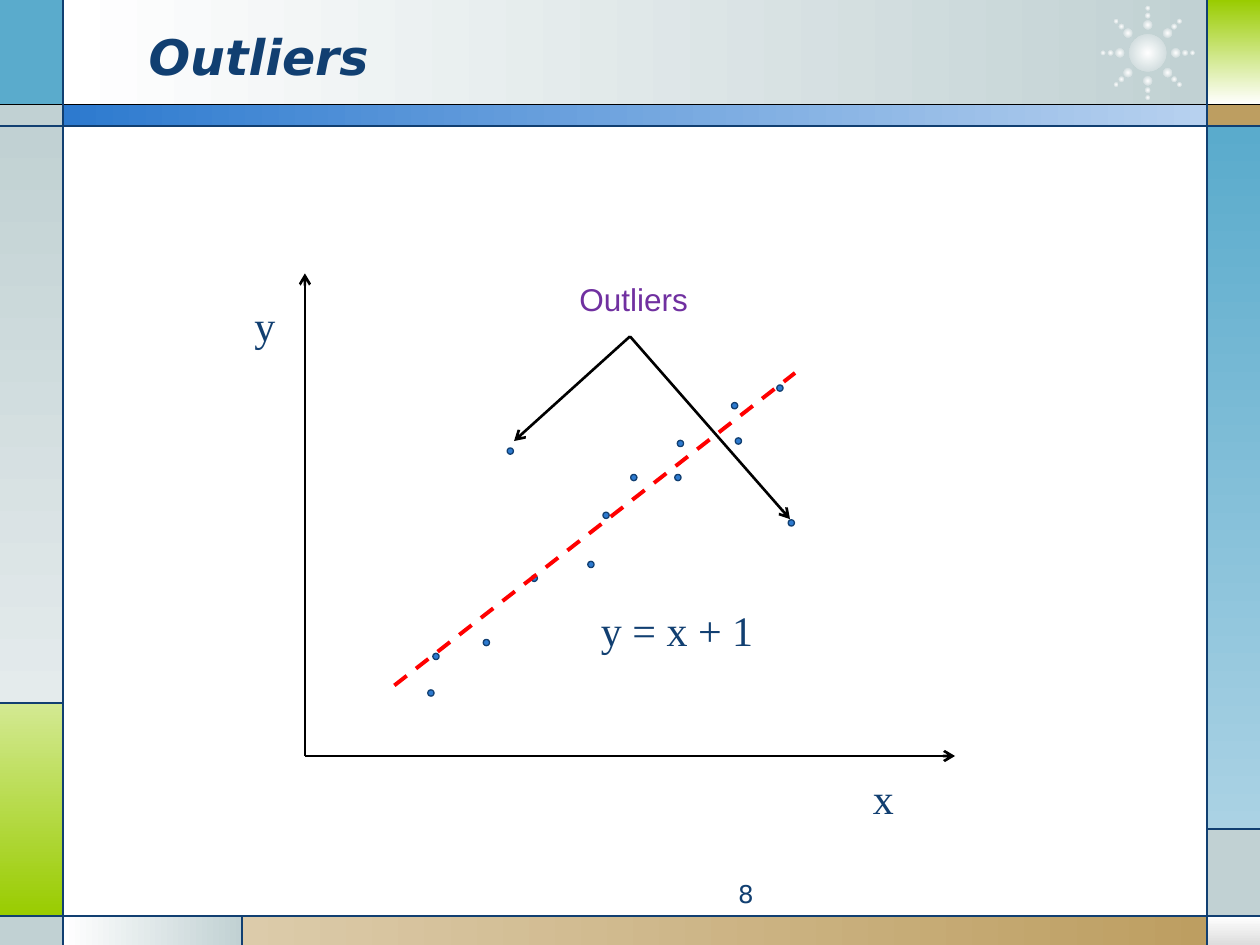
from math import cos, pi, sin

from lxml.etree import SubElement
from pptx import Presentation
from pptx.dml.color import RGBColor
from pptx.enum.dml import MSO_LINE
from pptx.enum.shapes import MSO_CONNECTOR as CONN, MSO_SHAPE as SHAPE
from pptx.enum.text import MSO_ANCHOR as ANCHOR, PP_ALIGN as ALIGN
from pptx.oxml.ns import qn
from pptx.util import Inches, Pt

NAVY, BLUE, SKY, MIST = "113F71", "2D7ACF", "5AABCC", "C1D1D3"
LIME, TAN, WHITE, BLACK = "99CC00", "BD9E61", "FFFFFF", "000000"
RIGHT, DOWN = 0, 270  # gradient directions
SANS, SERIF = "DejaVu Sans", "Times New Roman"


def rgb(value):
    return RGBColor.from_string(value)


def add_box(s, kind, box, fill, angle=RIGHT, outline=None):
    """Add a shape; a pair of colours makes a gradient, angle None a radial one."""
    sp = s.shapes.add_shape(kind, *map(Inches, box))
    sp.shadow.inherit = False
    if isinstance(fill, str):
        sp.fill.solid()
        sp.fill.fore_color.rgb = rgb(fill)
    else:
        sp.fill.gradient()
        for stop, position, colour in zip(sp.fill.gradient_stops, (0, 1), fill):
            stop.position, stop.color.rgb = position, rgb(colour)
        if angle is None:
            grad = sp._element.spPr.find(qn("a:gradFill"))
            grad.remove(grad.find(qn("a:lin")))
            radial = SubElement(grad, qn("a:path"), {"path": "circle"})
            SubElement(radial, qn("a:fillToRect"), dict.fromkeys("ltrb", "50000"))
        else:
            sp.fill.gradient_angle = angle
    if outline:
        sp.line.color.rgb, sp.line.width = rgb(outline), Pt(0.75)
    else:
        sp.line.fill.background()
    return sp


def add_line(s, start, end, colour, width, arrow=False, dash=None):
    line = s.shapes.add_connector(CONN.STRAIGHT, *map(Inches, (*start, *end)))
    line.line.color.rgb, line.line.width = rgb(colour), Pt(width)
    if dash:
        line.line.dash_style = dash
    if arrow:
        SubElement(line.line._get_or_add_ln(), qn("a:tailEnd"), {"type": "arrow"})
    SubElement(line._element.spPr, qn("a:effectLst"))


def write(sp, text, size, name, colour, align=ALIGN.LEFT, **fmt):
    p = sp.text_frame.paragraphs[0]
    p.alignment = align
    r = p.add_run()
    r.text = text
    r.font.color.rgb = rgb(colour)
    for key, value in {"size": Pt(size), "name": name, **fmt}.items():
        setattr(r.font, key, value)


def add_frame(s, w, h):
    """Coloured bands round the edge of the slide, with the rules between them."""
    left, right, head, band, foot = 0.5, w - 0.42, 0.83, 1, h - 0.23
    green, notch, grey = 5.58, 1.92, 6.58
    bands = [  # x0, y0, x1, y1, fill, angle
        (left, 0, right, head, (WHITE, MIST), RIGHT),
        (0, 0, left, head, SKY, RIGHT),
        (0, head, left, band, MIST, RIGHT),
        (0, band, left, green, (MIST, "E4EBEC"), DOWN),
        (0, green, left, foot, ("D3E992", LIME), DOWN),
        (0, foot, left, h, MIST, RIGHT),
        (left, foot, notch, h, (WHITE, MIST), RIGHT),
        (notch, foot, right, h, ("DCCBAA", TAN), RIGHT),
        (right, foot, w, h, (WHITE, "DDDDDD"), DOWN),
        (right, grey, w, foot, MIST, RIGHT),
        (right, band, w, grey, (SKY, "AAD2E4"), DOWN),
        (right, head, w, band, TAN, RIGHT),
        (right, 0, w, head, (LIME, WHITE), DOWN),
        (left, head, right, band, (BLUE, "B7D1EF"), RIGHT),
    ]
    for x0, y0, x1, y1, fill, angle in bands:
        add_box(s, SHAPE.RECTANGLE, (x0, y0, x1 - x0, y1 - y0), fill, angle)
    add_starburst(s, (right - 0.84, 0.05, 0.74, 0.74))
    add_line(s, (0, head), (w, head), BLACK, 0.75)
    for start, end in [
        ((0, band), (w, band)), ((0, foot), (w, foot)),
        ((left, 0), (left, h)), ((right, 0), (right, h)),
        ((0, green), (left, green)), ((notch, foot), (notch, h)),
        ((right, grey), (w, grey)),
    ]:
        add_line(s, start, end, NAVY, 0.75)


def add_starburst(s, box):
    """A glowing core with eight arms of three shrinking dots."""
    left, top, w, h = box
    cx, cy = left + w / 2, top + h / 2

    def glow(x, y, size):
        area = (x - size / 2, y - size / 2, size, size)
        add_box(s, SHAPE.OVAL, area, (WHITE, MIST), None)

    glow(cx, cy, 0.4 * w)
    for arm in range(8):
        angle = arm * pi / 4
        for radius, size in ((0.3, 0.1), (0.4, 0.06), (0.48, 0.05)):
            glow(cx + radius * w * cos(angle), cy + radius * h * sin(angle), size * w)


def add_title(s, box):
    title = s.shapes.title
    title.left, title.top, title.width, title.height = map(Inches, box)
    title.text_frame.vertical_anchor = ANCHOR.MIDDLE
    write(title, "Outliers", 28, SANS, NAVY, bold=True, italic=True)
    s.shapes._spTree.append(title._element)  # in front of the frame


def add_page_number(s, box):
    number = s.shapes.add_textbox(*map(Inches, box))
    number.text_frame.word_wrap = True
    write(number, "8", 14, SANS, NAVY, ALIGN.RIGHT)


def add_scatter(s, box):
    """Sketch of points round a fitted line; places count from the axes' origin."""
    left, top, w, h = box
    dot = 0.05

    def at(x, y):
        return left + x, top + h - y

    # Points, the two outliers last
    for x, y in [
        (2.27, 1.52), (1.82, 1.41), (1.44, 0.9), (2.39, 1.91), (2.61, 2.21),
        (1.04, 0.79), (2.96, 2.21), (2.98, 2.48), (3.44, 2.5), (1, 0.5),
        (3.41, 2.78), (3.77, 2.92), (1.63, 2.42), (3.86, 1.85),
    ]:
        px, py = at(x, y)
        area = (px - dot / 2, py - dot / 2, dot, dot)
        add_box(s, SHAPE.OVAL, area, BLUE, outline=NAVY)

    # Fitted line
    add_line(s, at(0.71, 0.56), at(3.89, 3.04), "FF0000", 2.25, dash=MSO_LINE.DASH)

    # Labels
    for text, x, y, width, height, size, name, colour in [
        ("x", 4.41, -0.08, 0.37, 0.5, 24, SERIF, NAVY),
        ("y", -0.5, 3.67, 0.37, 0.5, 24, SERIF, NAVY),
        ("y = x + 1", 2.25, 1.25, 1.41, 0.5, 24, SERIF, NAVY),
        ("Outliers", 2.08, 3.83, 1.07, 0.4, 18, "Arial", "7030A0"),
    ]:
        label = s.shapes.add_textbox(*map(Inches, (*at(x, y), width, height)))
        label.text_frame.word_wrap = False
        write(label, text, size, name, colour)

    # Pointers to the outliers, then the axes
    fork, origin = at(2.58, 3.33), at(0, 0)
    for start, end in [
        (fork, at(1.66, 2.5)), (fork, at(3.85, 1.88)),
        (origin, at(w, 0)), (origin, at(0, h)),
    ]:
        add_line(s, start, end, BLACK, 1.5, arrow=True)


def main():
    w, h = 10, 7.5
    prs = Presentation()
    prs.slide_width, prs.slide_height = Inches(w), Inches(h)
    s = prs.slides.add_slide(prs.slide_layouts[5])
    add_frame(s, w, h)
    add_title(s, (1.08, 0.13, 7.33, 0.62))
    add_page_number(s, (3.75, 6.93, 2.33, 0.27))
    add_scatter(s, (2.42, 2.17, 5.16, 3.83))
    prs.save("out.pptx")


if __name__ == "__main__":
    main()
